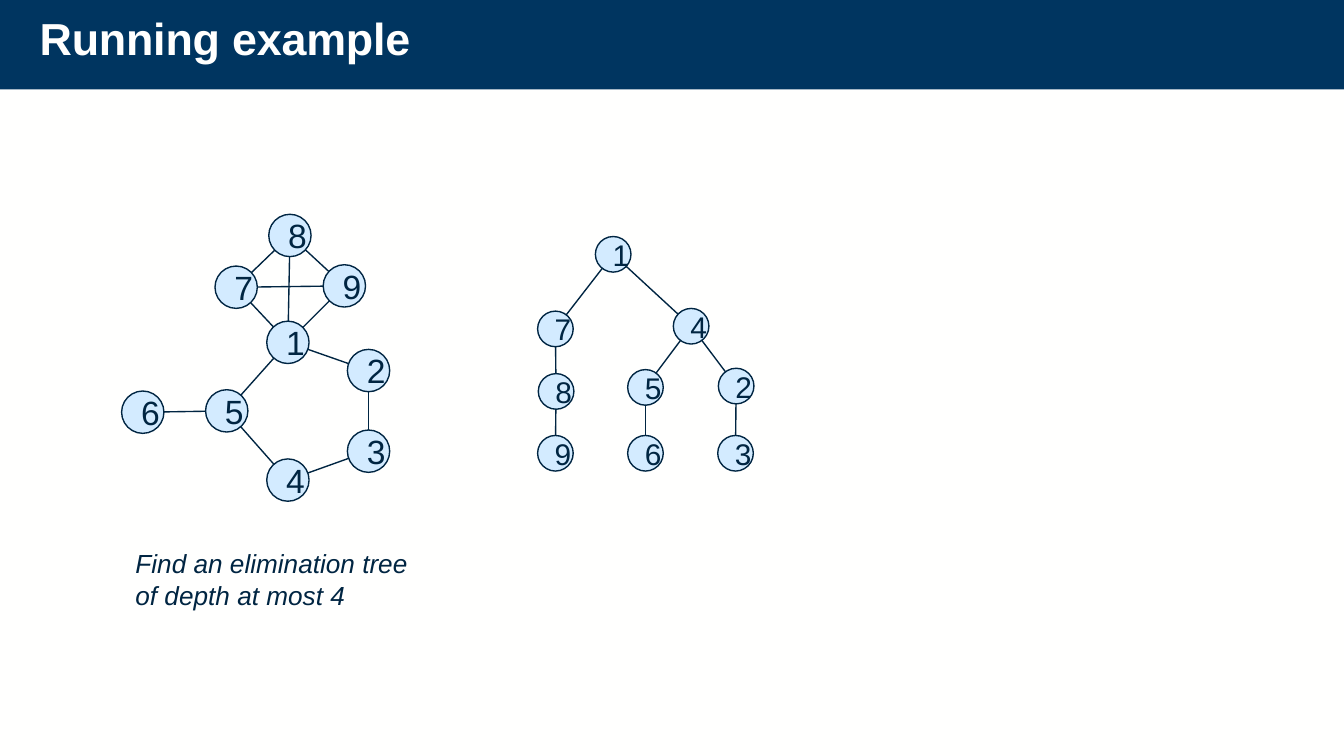
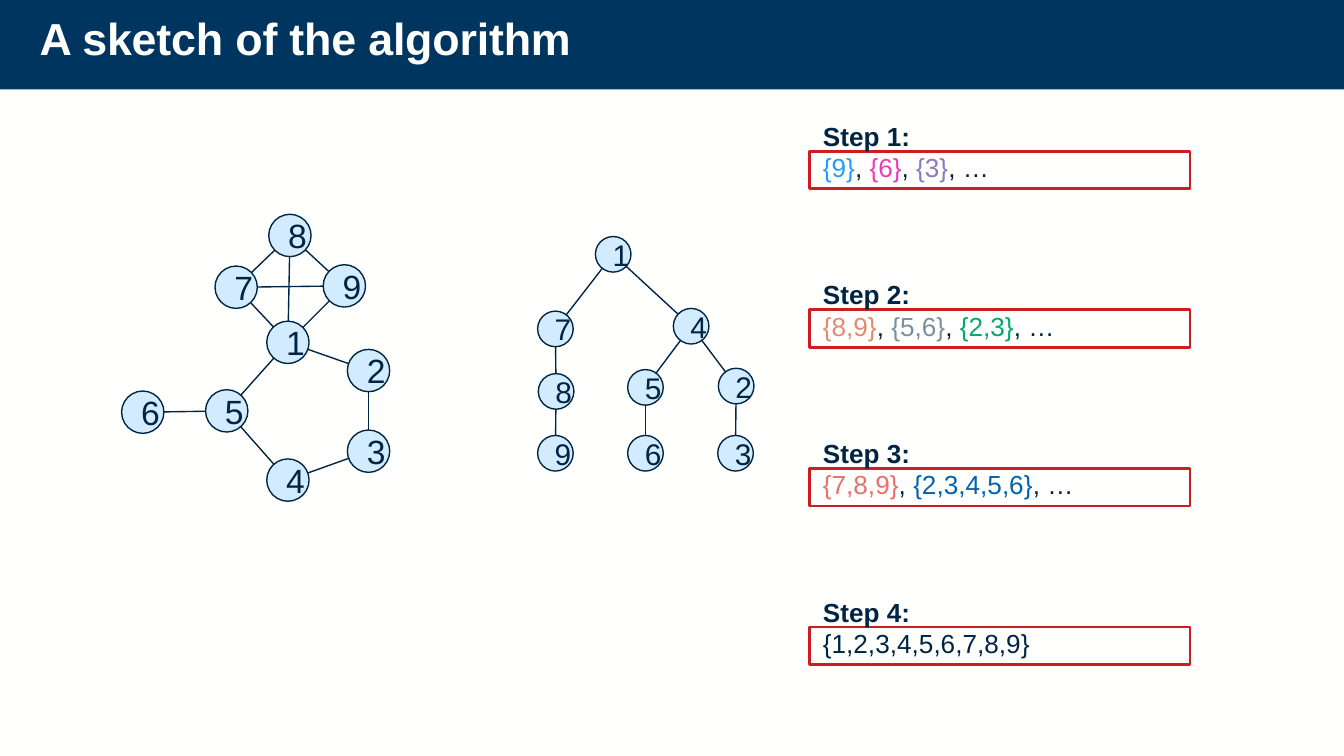
from dataclasses import dataclass
from math import hypot

from lxml.etree import SubElement
from pptx import Presentation
from pptx.dml.color import RGBColor
from pptx.enum.shapes import MSO_CONNECTOR, MSO_SHAPE
from pptx.enum.text import MSO_ANCHOR, MSO_AUTO_SIZE, PP_ALIGN
from pptx.oxml.ns import qn
from pptx.util import Emu, Pt


@dataclass(frozen=True)
class Theme:
    font: str = "Arial"
    paper: str = "FFFFFE"
    band: str = "003560"
    ink: str = "002542"
    node: str = "D3EBFF"
    frame: str = "CF1C20"
    blue: str = "219DFF"
    pink: str = "EE3AB5"
    violet: str = "8B7AC0"
    orange: str = "E7896E"
    gray: str = "7A8F9C"
    green: str = "00AA6D"
    coral: str = "EB6E70"
    navy: str = "0063B1"
    title_size: int = 24
    graph_size: int = 18
    tree_size: int = 16
    body_size: int = 14
    thin: float = 0.75
    thick: float = 1.5


THEME = Theme()
EMU_PER_PX = 4572
SLIDE_SIZE = (2000, 1125)

GRAPH_DIAMETER = 63
GRAPH_NODES = {
    1: (397, 478), 2: (517, 520), 3: (517, 640), 4: (397, 683), 5: (306, 580),
    6: (181, 582), 7: (320, 396), 8: (400, 319), 9: (481, 394),
}
GRAPH_EDGES = [
    (9, 1), (7, 1), (1, 8), (1, 5), (8, 9), (5, 6),
    (8, 7), (1, 2), (2, 3), (3, 4), (4, 5), (7, 9),
]

TREE_DIAMETER = 53
TREE_NODES = {
    1: (886, 352), 7: (800, 463), 8: (801, 556), 9: (800, 648), 4: (1002, 459),
    5: (934, 550), 6: (934, 648), 2: (1069, 548), 3: (1068, 648),
}
TREE_EDGES = [(1, 7), (7, 8), (8, 9), (1, 4), (4, 5), (5, 6), (4, 2), (2, 3)]

STEP_LEFT, STEP_TOP, STEP_PITCH = 1205, 169, 236
MORE = ("…", THEME.ink)
STEPS = [
    [("{9}", THEME.blue), ("{6}", THEME.pink), ("{3}", THEME.violet), MORE],
    [("{8,9}", THEME.orange), ("{5,6}", THEME.gray), ("{2,3}", THEME.green), MORE],
    [("{7,8,9}", THEME.coral), ("{2,3,4,5,6}", THEME.navy), MORE],
    [("{1,2,3,4,5,6,7,8,9}", THEME.ink)],
]


def px(*lengths):
    return [Emu(round(length * EMU_PER_PX)) for length in lengths]


def rgb(value):
    return RGBColor.from_string(value)


class Deck:
    def __init__(self, theme):
        self.theme = theme
        self.presentation = Presentation()
        self.presentation.slide_width, self.presentation.slide_height = px(*SLIDE_SIZE)
        self.slide = None

    def start_slide(self, title, title_width):
        self.slide = self.presentation.slides.add_slide(self.presentation.slide_layouts[5])
        background = self.slide.background.fill
        background.solid()
        background.fore_color.rgb = rgb(self.theme.paper)
        band = self.shape(MSO_SHAPE.RECTANGLE, (0, -20, 2008, 153), fill=self.theme.band)
        placeholder = self.slide.shapes.title
        band._element.addnext(placeholder._element)
        placeholder.left, placeholder.top, placeholder.width, placeholder.height = px(39, 15, title_width, 110)
        frame = placeholder.text_frame
        frame.auto_size = MSO_AUTO_SIZE.NONE
        frame.vertical_anchor = MSO_ANCHOR.TOP
        paragraph = frame.paragraphs[0]
        paragraph.alignment = PP_ALIGN.LEFT
        paragraph.line_spacing = 0.9
        run = paragraph.add_run()
        run.text = title
        run._r.get_or_add_rPr().set("spc", "-10")
        self.style(paragraph, self.theme.title_size, self.theme.paper, bold=True)

    def style(self, paragraph, size, color, bold=False, italic=False):
        font = paragraph.font
        font.name = self.theme.font
        font.size = Pt(size)
        font.bold = bold
        font.italic = italic
        font.color.rgb = rgb(color)

    def shape(self, kind, box, fill=None, line=None, line_width=0):
        shape = self.slide.shapes.add_shape(kind, *px(*box))
        shape.shadow.inherit = False
        if fill:
            shape.fill.solid()
            shape.fill.fore_color.rgb = rgb(fill)
        else:
            shape.fill.background()
        if line:
            shape.line.color.rgb = rgb(line)
            shape.line.width = Pt(line_width)
        else:
            shape.line.fill.background()
        return shape

    def node(self, label, corner, diameter, size):
        shape = self.shape(
            MSO_SHAPE.OVAL, (*corner, diameter, diameter),
            self.theme.node, self.theme.ink, self.theme.thin,
        )
        shape.text_frame.vertical_anchor = MSO_ANCHOR.MIDDLE
        paragraph = shape.text_frame.paragraphs[0]
        paragraph.text = str(label)
        paragraph.alignment = PP_ALIGN.CENTER
        self.style(paragraph, size, self.theme.ink)

    def edge(self, start, end, trim):
        (x1, y1), (x2, y2) = start, end
        ratio = trim / hypot(x2 - x1, y2 - y1)
        dx, dy = (x2 - x1) * ratio, (y2 - y1) * ratio
        connector = self.slide.shapes.add_connector(
            MSO_CONNECTOR.STRAIGHT, *px(x1 + dx, y1 + dy, x2 - dx, y2 - dy)
        )
        connector.line.color.rgb = rgb(self.theme.ink)
        connector.line.width = Pt(self.theme.thin)
        SubElement(connector._element.spPr, qn("a:effectLst"))

    def network(self, nodes, edges, diameter, size, trim=0):
        centers = {label: (x + diameter / 2, y + diameter / 2) for label, (x, y) in nodes.items()}
        for start, end in edges:
            self.edge(centers[start], centers[end], trim)
        for label, corner in nodes.items():
            self.node(label, corner, diameter, size)

    def networks(self):
        self.network(GRAPH_NODES, GRAPH_EDGES, GRAPH_DIAMETER, self.theme.graph_size)
        self.network(TREE_NODES, TREE_EDGES, TREE_DIAMETER, self.theme.tree_size, TREE_DIAMETER / 2)

    def text_box(self, box):
        frame = self.slide.shapes.add_textbox(*px(*box)).text_frame
        frame.word_wrap = True
        frame.auto_size = MSO_AUTO_SIZE.SHAPE_TO_FIT_TEXT
        return frame

    def caption(self, text, box):
        paragraph = self.text_box(box).paragraphs[0]
        paragraph.text = text
        self.style(paragraph, self.theme.body_size, self.theme.ink, italic=True)

    def step(self, number, sets, top):
        self.shape(
            MSO_SHAPE.RECTANGLE, (STEP_LEFT, top + 56, 566, 56),
            line=self.theme.frame, line_width=self.theme.thick,
        )
        frame = self.text_box((STEP_LEFT, top, 708, 114))
        heading = frame.paragraphs[0]
        heading.text = f"Step {number}:"
        self.style(heading, self.theme.body_size, self.theme.ink, bold=True)
        listing = frame.add_paragraph()
        self.style(listing, self.theme.body_size, self.theme.ink)
        for index, (text, color) in enumerate(sets):
            if index:
                listing.add_run().text = ", "
            run = listing.add_run()
            run.text = text
            run.font.color.rgb = rgb(color)


def main():
    deck = Deck(THEME)

    deck.start_slide("Running example", 818)
    deck.caption("Find an elimination tree of depth at most 4", (182, 805, 446, 114))
    deck.networks()

    deck.start_slide("A sketch of the algorithm", 1030)
    deck.networks()
    for index, sets in enumerate(STEPS):
        deck.step(index + 1, sets, STEP_TOP + index * STEP_PITCH)

    deck.presentation.save("out.pptx")


if __name__ == "__main__":
    main()
